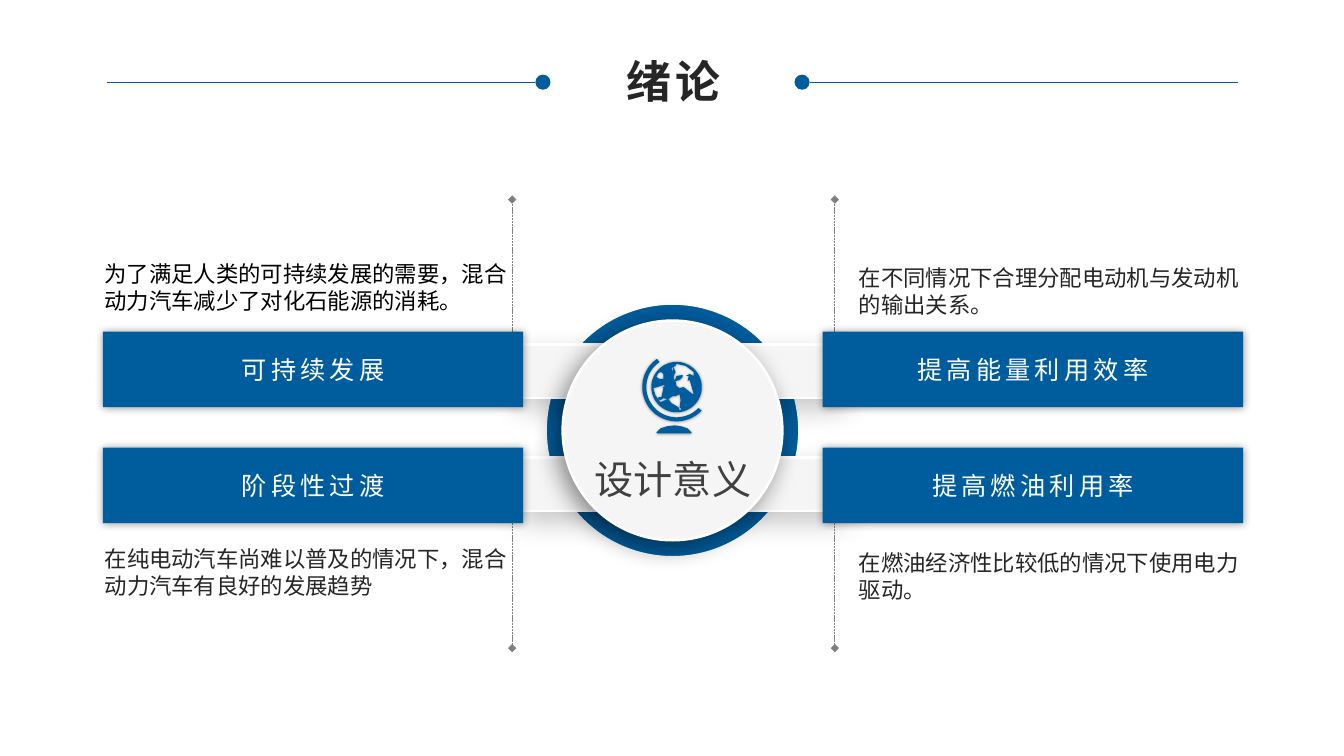
"""Build the introduction slide on the purpose of the design."""
from dataclasses import dataclass
from math import cos, radians, sin
from typing import Any

from lxml import etree
from pptx import Presentation
from pptx.dml.color import RGBColor
from pptx.enum import dml, shapes, text
from pptx.oxml.ns import qn
from pptx.util import Inches, Pt


@dataclass(frozen=True)
class Theme:
    blue: str = "005D9D"
    pale: str = "F5F5F5"
    white: str = "FFFFFF"
    gray: str = "808080"
    mid: str = "404040"
    dark: str = "262626"
    black: str = "000000"
    head: str = "Arial"
    body: str = "Noto Sans CJK SC"
    title: int = 32
    hub: int = 28
    bar: int = 18
    note: int = 16


@dataclass(frozen=True)
class Box:
    x: float
    y: float
    w: float
    h: float

    def emu(self) -> list[int]:
        return [Inches(v) for v in (self.x, self.y, self.w, self.h)]


@dataclass(frozen=True)
class Shade:
    alpha: int
    blur: int
    dist: int = 0
    angle: int = 0


@dataclass(frozen=True)
class Item:
    label: str
    note: str
    bar: Box
    area: Box
    color: str


T = Theme()
ELLIPSE = shapes.MSO_SHAPE.OVAL
RECT = shapes.MSO_SHAPE.RECTANGLE
LEFT, RIGHT, WIDE, TALL = 1.02, 8.16, 4.17, 0.75
ROWS = (3.29, 4.44)
ITEMS = (
    Item("可持续发展", "为了满足人类的可持续发展的需要，混合动力汽车减少了对化石能源的消耗。",
         Box(LEFT, ROWS[0], WIDE, TALL), Box(0.94, 2.53, 4.34, 0.64), T.black),
    Item("阶段性过渡", "在纯电动汽车尚难以普及的情况下，混合动力汽车有良好的发展趋势",
         Box(LEFT, ROWS[1], WIDE, TALL), Box(0.94, 5.36, 4.22, 0.64), T.dark),
    Item("提高能量利用效率", "在不同情况下合理分配电动机与发动机的输出关系。",
         Box(RIGHT, ROWS[0], WIDE, TALL), Box(8.42, 2.57, 3.98, 0.64), T.dark),
    Item("提高燃油利用率", "在燃油经济性比较低的情况下使用电力驱动。",
         Box(RIGHT, ROWS[1], WIDE, TALL), Box(8.42, 5.4, 4.12, 0.64), T.dark),
)
Point = tuple[float, float]
CORE = (6.71, 3.84)
LANDS: tuple[tuple[Point, ...], ...] = (
    ((6.67, 3.69), (6.68, 3.64), (6.7, 3.69), (6.68, 3.74), (6.69, 3.78),
     (6.71, 3.73), (6.77, 3.72), (6.77, 3.74), (6.74, 3.77), (6.7, 3.78),
     (6.71, 3.83), (6.74, 3.85), (6.78, 3.84), (6.87, 3.91), (6.88, 3.91),
     (6.84, 3.77), (6.82, 3.78), (6.83, 3.73), (6.8, 3.73), (6.84, 3.71),
     (6.88, 3.73), (6.88, 3.69), (6.8, 3.63), (6.71, 3.61), (6.7, 3.63),
     (6.66, 3.65)),
    ((6.63, 3.96), (6.66, 4), (6.73, 4.04), (6.74, 4.07), (6.76, 4.06),
     (6.74, 4.04), (6.75, 3.97), (6.74, 3.91), (6.7, 3.93), (6.67, 3.93)),
    ((6.57, 3.84), (6.6, 3.83), (6.58, 3.82), (6.52, 3.84), (6.48, 3.85),
     (6.5, 3.92), (6.55, 3.99), (6.62, 3.96), (6.58, 3.95), (6.55, 3.97),
     (6.53, 3.96), (6.53, 3.94), (6.56, 3.94), (6.58, 3.85)),
    ((6.53, 3.7), (6.51, 3.74), (6.54, 3.76), (6.58, 3.76), (6.58, 3.71),
     (6.56, 3.69)),
)
BASE = ((6.51, 4.29), (6.55, 4.25), (6.61, 4.23), (6.69, 4.22), (6.76, 4.23),
        (6.82, 4.25), (6.86, 4.29), (6.85, 4.3), (6.52, 4.3))


def put(obj: Any, fmt: dict[str, Any]) -> None:
    """Set every attribute named in a dict."""
    for key, val in fmt.items():
        setattr(obj, key, val)


def paint(shape: Any, fill: str, edge: str = "", width: float = 0,
          shade: Shade | None = None) -> None:
    """Give a shape its fill, line and shadow."""
    shape.fill.solid()
    shape.fill.fore_color.rgb = RGBColor.from_string(fill)
    if edge:
        shape.line.color.rgb = RGBColor.from_string(edge)
        shape.line.width = Pt(width)
    else:
        shape.line.fill.background()
    shape.shadow.inherit = False
    if shade:
        cast = etree.SubElement(
            shape._element.spPr.find(qn("a:effectLst")), qn("a:outerShdw"),
            blurRad=str(Pt(shade.blur)), dist=str(Pt(shade.dist)),
            dir=str(shade.angle * 60000), algn="ctr", rotWithShape="0")
        tone = etree.SubElement(cast, qn("a:srgbClr"), val=T.black)
        etree.SubElement(tone, qn("a:alpha"), val=str(shade.alpha * 1000))


def draw(slide: Any, kind: Any, box: Box, *look: Any) -> Any:
    """Add one painted preset shape."""
    shape = slide.shapes.add_shape(kind, *box.emu())
    paint(shape, *look)
    return shape


def link(slide: Any, start: Point, end: Point, color: str, width: float,
         dash: bool = False) -> None:
    """Add a straight line, dashed with a diamond end on request."""
    line = slide.shapes.add_connector(
        shapes.MSO_CONNECTOR.STRAIGHT, *[Inches(v) for v in start + end])
    line.line.color.rgb = RGBColor.from_string(color)
    line.line.width = Pt(width)
    if dash:
        line.line.dash_style = dml.MSO_LINE.SQUARE_DOT
        etree.SubElement(line.line._get_or_add_ln(), qn("a:tailEnd"), type="diamond")
    etree.SubElement(line._element.spPr, qn("a:effectLst"))


def write(shape: Any, words: str, size: int, color: str, face: str = T.body,
          bold: bool = False, gap: int = 0, center: bool = True,
          frame: dict[str, Any] | None = None) -> None:
    """Write one formatted paragraph into a shape."""
    body = shape.text_frame
    base = {"word_wrap": True, "vertical_anchor": text.MSO_ANCHOR.TOP,
            "auto_size": text.MSO_AUTO_SIZE.SHAPE_TO_FIT_TEXT}
    put(body, base | (frame or {}))
    para = body.paragraphs[0]
    para.alignment = text.PP_ALIGN.CENTER if center else text.PP_ALIGN.LEFT
    run = para.add_run()
    run.text = words
    put(run.font, {"size": Pt(size), "bold": bold, "name": face})
    run.font.color.rgb = RGBColor.from_string(color)
    prop = run._r.get_or_add_rPr()
    etree.SubElement(prop, qn("a:ea"), typeface=face)
    if gap:
        prop.set("spc", str(gap * 100))


def arc(rad: float, start: int, end: int, step: int) -> list[Point]:
    """Return points along a circle around the globe's core."""
    return [(CORE[0] + rad * cos(radians(a)), CORE[1] + rad * sin(radians(a)))
            for a in range(start, end, step)]


def globe(slide: Any) -> None:
    """Draw the globe with its stand as one outline with holes."""
    stand = arc(0.34, 43, 238, 4) + arc(0.3, 236, 40, -4)
    rings = [[(round(x * 1000), round(y * 1000)) for x, y in ring]
             for ring in (stand, arc(0.25, 0, 360, 6), BASE, *LANDS)]
    pen = slide.shapes.build_freeform(*rings[0][0], scale=914.4)
    pen.add_line_segments(rings[0][1:], close=True)
    for ring in rings[1:]:
        pen.move_to(*ring[0])
        pen.add_line_segments(ring[1:], close=True)
    paint(pen.convert_to_shape(), T.blue, "", 0, Shade(40, 2))


def main() -> None:
    """Build and save the slide."""
    deck = Presentation()
    put(deck, {"slide_width": Inches(13.33), "slide_height": Inches(7.5)})
    slide = deck.slides.add_slide(deck.slide_layouts[5])
    title = slide.shapes.title
    put(title, dict(zip(("left", "top", "width", "height"),
                        Box(6.08, 0.48, 1.19, 0.64).emu())))
    write(title, "绪论", T.title, T.dark, T.head, True, 3, frame={"word_wrap": False})
    for far, near, dot in ((1.06, 5.31, 5.31), (12.28, 8.03, 7.88)):
        link(slide, (far, 0.82), (near, 0.82), T.blue, 0.25)
        draw(slide, ELLIPSE, Box(dot, 0.74, 0.15, 0.15), T.blue)

    draw(slide, ELLIPSE, Box(5.41, 3.01, 2.52, 2.52), T.blue, T.white, 2)
    for x in (5.08, 7.24):
        for y in (3.42, 4.54):
            draw(slide, RECT, Box(x, y, 1.04, 0.53), T.pale, T.white, 1.75,
                 Shade(21, 20, 10, 45))
    draw(slide, ELLIPSE, Box(5.58, 3.18, 2.18, 2.18), T.pale, T.white, 1.75,
         Shade(45, 18, 6, 135))
    for x in (5.08, 8.28):
        for start, end in ((ROWS[0], 1.98), (ROWS[1] + TALL, 6.43)):
            link(slide, (x, start), (x, end), T.gray, 0.5, True)

    for item in ITEMS:
        bar = draw(slide, RECT, item.bar, T.blue, "", 0, Shade(40, 6, 0, 90))
        write(bar, item.label, T.bar, T.white, gap=3,
              frame={"vertical_anchor": text.MSO_ANCHOR.MIDDLE,
                     "auto_size": text.MSO_AUTO_SIZE.NONE})
        area = slide.shapes.add_textbox(*item.area.emu())
        write(area, item.note, T.note, item.color, center=False)
    hub = slide.shapes.add_textbox(*Box(5.7, 4.47, 1.95, 0.57).emu())
    write(hub, "设计意义", T.hub, T.mid)
    globe(slide)
    deck.save("out.pptx")


if __name__ == "__main__":
    main()
